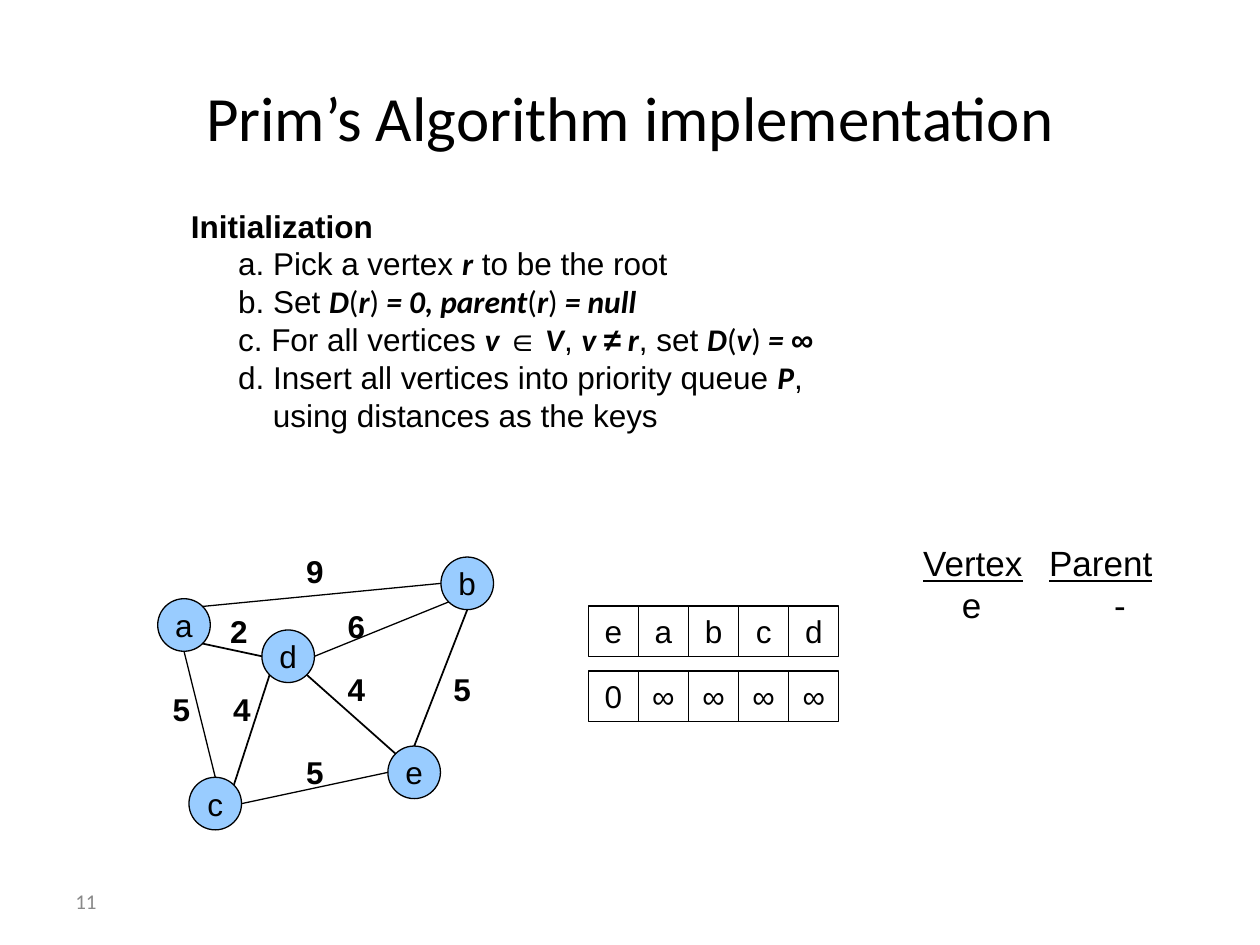
from math import cos, radians, sin

from lxml import etree
from pptx import Presentation
from pptx.dml.color import RGBColor
from pptx.enum.shapes import MSO_CONNECTOR, MSO_SHAPE
from pptx.enum.text import MSO_ANCHOR, PP_ALIGN
from pptx.oxml.ns import qn
from pptx.util import Cm, Pt

STRAIGHT = MSO_CONNECTOR.STRAIGHT
OVAL, RECTANGLE = MSO_SHAPE.OVAL, MSO_SHAPE.RECTANGLE
MIDDLE, CENTER = MSO_ANCHOR.MIDDLE, PP_ALIGN.CENTER

BLACK = RGBColor(0x00, 0x00, 0x00)
GRAY = RGBColor(0x89, 0x89, 0x89)
NODE_BLUE = RGBColor(0x99, 0xCC, 0xFF)

PLAIN = ("Arial", False, False)
BOLD = ("Arial", True, False)
SYMBOL = ("Arial", True, True)
MATH = ("Calibri", True, True)
PAREN = ("Calibri", False, False)

STEP_INDENT, CONTINUED_INDENT = 0.95, 1.65
STEPS = [
    (0, [("Initialization", BOLD)]),
    (STEP_INDENT, [("a. Pick a vertex ", PLAIN), ("r", MATH), (" to be the root", PLAIN)]),
    (STEP_INDENT, [("b. Set ", PLAIN), ("D", MATH), ("(", PAREN), ("r", MATH), (")", PAREN),
                   (" = 0, parent", MATH), ("(", PAREN), ("r", MATH), (")", PAREN),
                   (" = null", MATH)]),
    (STEP_INDENT, [("c. For all vertices ", PLAIN), ("v ", MATH), ("∈", BOLD), (" V", MATH),
                   (", ", PLAIN), ("v ", MATH), ("≠", SYMBOL), (" r", MATH),
                   (", set ", PLAIN), ("D", MATH), ("(", PAREN), ("v", MATH), (")", PAREN),
                   (" = ", MATH), ("∞", SYMBOL)]),
    (STEP_INDENT, [("d. Insert all vertices into priority queue ", PLAIN), ("P", MATH),
                   (",", PLAIN)]),
    (CONTINUED_INDENT, [("using distances as the keys", PLAIN)]),
]

NODE_RADIUS = 0.53
NODES = {"a": (0.53, 1.6), "c": (1.16, 5.2), "e": (5.17, 4.57),
         "d": (2.63, 2.23), "b": (6.24, 0.76)}
ANGLES = {"E": 0, "SE": 45, "S": 90, "SW": 135, "W": 180, "NW": 225, "N": 270, "NE": 315}
EDGES = [
    ("a", "NE", "b", "W", 0.75, "9", (2.74, 0)),
    ("d", "E", "b", "SW", 0.75, "6", (3.58, 1.12)),
    ("a", "S", "c", "N", 0.75, "5", (0.05, 2.79)),
    ("a", "SE", "d", "W", 1, "2", (1.21, 1.22)),
    ("c", "NE", "d", "SW", 1, "4", (1.27, 2.79)),
    ("d", "SE", "e", "NW", 1, "4", (3.58, 2.39)),
    ("b", "S", "e", "N", 1, "5", (5.71, 2.39)),
    ("e", "W", "c", "E", 0.75, "5", (2.74, 4.06)),
]
QUEUE_ROWS = ["eabcd", "0∞∞∞∞"]


def add_span(para, text, style=PLAIN, size=18, color=BLACK):
    span = para.add_run()
    span.text = text
    span.font.name, span.font.bold, span.font.italic = style
    span.font.size = Pt(size)
    span.font.color.rgb = color
    return span


def add_box(shapes, left, top, width, height, wrap=True):
    box = shapes.add_textbox(Cm(left), Cm(top), Cm(width), Cm(height))
    box.text_frame.word_wrap = wrap
    return box.text_frame


def add_labelled_shape(shapes, kind, left, top, size, label):
    shape = shapes.add_shape(kind, Cm(left), Cm(top), Cm(size), Cm(size))
    shape.shadow.inherit = False
    shape.fill.background()
    shape.line.color.rgb = BLACK
    shape.line.width = Pt(0.75)
    frame = shape.text_frame
    frame.word_wrap = False
    frame.vertical_anchor = MIDDLE
    frame.paragraphs[0].alignment = CENTER
    add_span(frame.paragraphs[0], label)
    return shape


def add_title(page, left, top, width, height):
    title = page.shapes.title
    title.left, title.top, title.width, title.height = Cm(left), Cm(top), Cm(width), Cm(height)
    title.text_frame.vertical_anchor = MIDDLE
    para = title.text_frame.paragraphs[0]
    para.alignment = CENTER
    add_span(para, "Prim’s Algorithm implementation", PAREN, 36)


def add_steps(page, left, top, width, height):
    frame = add_box(page.shapes, left, top, width, height)
    for index, (indent, spans) in enumerate(STEPS):
        para = frame.add_paragraph() if index else frame.paragraphs[0]
        para._p.get_or_add_pPr().set("marL", str(Cm(indent)))
        for text, style in spans:
            add_span(para, text, style)


def add_graph(page, left, top):
    shapes = page.shapes.add_group_shape().shapes

    def rim_point(node, side):
        x, y = NODES[node]
        angle = radians(ANGLES[side])
        return (Cm(left + x + NODE_RADIUS * cos(angle)),
                Cm(top + y + NODE_RADIUS * sin(angle)))

    for label, (x, y) in NODES.items():
        node = add_labelled_shape(shapes, OVAL, left + x - NODE_RADIUS,
                                  top + y - NODE_RADIUS, 2 * NODE_RADIUS, label)
        node.fill.solid()
        node.fill.fore_color.rgb = NODE_BLUE
    for start, start_side, end, end_side, thickness, weight, (x, y) in EDGES:
        edge = shapes.add_connector(STRAIGHT, *rim_point(start, start_side),
                                    *rim_point(end, end_side))
        edge.line.color.rgb = BLACK
        edge.line.width = Pt(thickness)
        etree.SubElement(edge._element.spPr, qn("a:effectLst"))
        frame = add_box(shapes, left + x, top + y, 0.86, 1.02, wrap=False)
        add_span(frame.paragraphs[0], weight, BOLD)


def add_queue(page, left, top, cell_size, row_pitch):
    shapes = page.shapes.add_group_shape().shapes
    for row, labels in enumerate(QUEUE_ROWS):
        for column, label in enumerate(labels):
            add_labelled_shape(shapes, RECTANGLE, left + column * cell_size,
                               top + row * row_pitch, cell_size, label)


def add_parents(page, left, top, width, height):
    frame = add_box(page.shapes, left, top, width, height)
    rows = [("Vertex", "Parent", 0, True), ("e", "-", 0.78, False)]
    for index, (vertex, parent, indent, underline) in enumerate(rows):
        para = frame.add_paragraph() if index else frame.paragraphs[0]
        properties = para._p.get_or_add_pPr()
        properties.set("marL", str(Cm(indent)))
        tabs = etree.SubElement(properties, qn("a:tabLst"))
        etree.SubElement(tabs, qn("a:tab"), pos=str(Cm(2.54 + indent)), algn="l")
        add_span(para, vertex, size=20).font.underline = underline
        add_span(para, "\t", size=20)
        add_span(para, parent, size=20).font.underline = underline


def add_page_number(page, left, top, width, height):
    frame = add_box(page.shapes, left, top, width, height)
    frame.vertical_anchor = MIDDLE
    add_span(frame.paragraphs[0], "11", PAREN, 12, GRAY)


def main():
    deck = Presentation()
    deck.slide_width, deck.slide_height = Cm(25.4), Cm(19.05)
    page = deck.slides.add_slide(deck.slide_layouts[5])
    add_page_number(page, 1.27, 17.65, 5.92, 1.02)
    add_title(page, 1.27, 0.76, 22.86, 3.18)
    add_steps(page, 3.6, 4.04, 18.2, 4.83)
    add_graph(page, 3.18, 11)
    add_queue(page, 11.86, 12.22, 1.01, 1.31)
    add_parents(page, 18.36, 10.8, 5.13, 1.96)
    deck.save("out.pptx")


if __name__ == "__main__":
    main()
